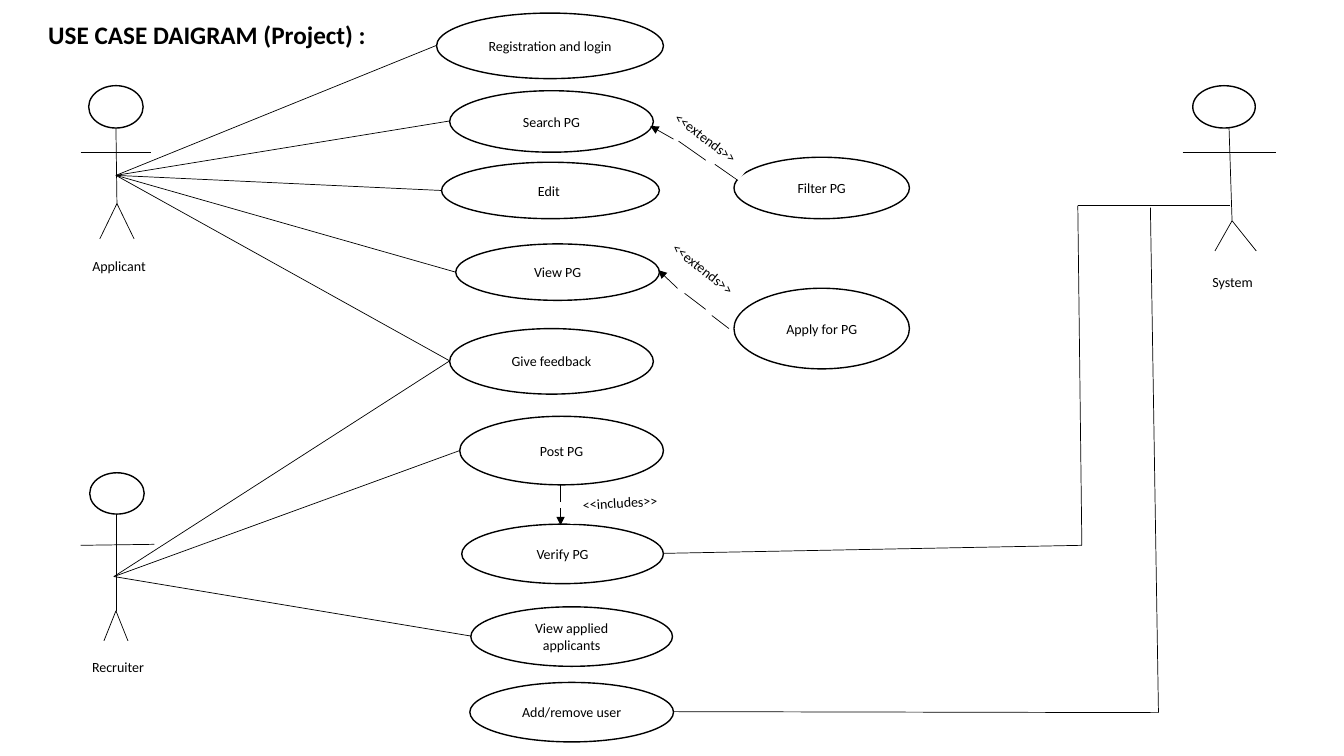
from lxml.etree import SubElement
from pptx import Presentation
from pptx.dml.color import RGBColor
from pptx.enum.shapes import MSO_CONNECTOR, MSO_SHAPE
from pptx.enum.text import MSO_ANCHOR, PP_ALIGN
from pptx.oxml.ns import qn
from pptx.util import Emu, Pt

PX = 9144
COLORS = {"ink": "000000", "paper": "FFFFFF"}
BODY_FONT = {"name": "Calibri", "size": Pt(10), "bold": False}
TITLE_FONT = {"name": "Calibri", "size": Pt(18), "bold": True}

USE_CASES = {
    "Registration and login": (433, 13, 225, 65),
    "Search PG": (446, 90, 202, 61),
    "Edit ": (438, 161, 216, 56),
    "View PG": (452, 242, 202, 56),
    "Give feedback": (446, 326, 202, 65),
    "Post PG": (456, 413, 202, 68),
    "Verify PG": (458, 520, 200, 59),
    "View applied applicants": (467, 602, 200, 59),
    "Add/remove user": (466, 677, 202, 59),
    "Filter PG": (728, 156, 174, 61),
    "Apply for PG": (728, 286, 174, 80),
}
ACTORS = [
    {"head": (88, 85, 54, 42), "neck": 115, "hip": (116, 202),
     "arms": (80, 151, 150, 151), "feet": (99, 133, 237)},
    {"head": (89, 469, 54, 41), "neck": 115, "hip": (115, 606),
     "arms": (80, 541, 153, 540), "feet": (103, 127, 636)},
    {"head": (1183, 85, 62, 42), "neck": 1219, "hip": (1222, 219),
     "arms": (1173, 151, 1266, 151), "feet": (1205, 1246, 249)},
]
ASSOCIATIONS = {
    (115, 174): ["Registration and login", "Search PG", "Edit ", "View PG", "Give feedback"],
    (113, 572): ["Give feedback", "Post PG", "View applied applicants"],
}
SYSTEM_ROUTES = {
    "Verify PG": [(1073, 541), (1069, 204), (1220, 204)],
    "Add/remove user": [(1149, 707), (1141, 206)],
}
DEPENDENCIES = [
    [(732, 179, 709, 163), (700, 159, 673, 140), (668, 138, 645, 125)],
    [(723, 326, 706, 313), (700, 307, 679, 291), (672, 286, 653, 268)],
    [(556, 480, 556, 498), (556, 504, 556, 521)],
]
LABELS = [
    ("Applicant", (69, 241, 98, 46), 0),
    ("Recruiter", (60, 637, 114, 49), 0),
    ("System", (1189, 267, 67, 25), 0),
    ("<<extends>>", (650, 249, 95, 35), 38.4),
    ("<<extends>>", (649, 123, 102, 27), 37.1),
    ("<<includes>>", (565, 481, 100, 35), 356.4),
]


def scaled(lengths):
    return [Emu(length * PX) for length in lengths]


def color(name):
    return RGBColor.from_string(COLORS[name])


def write(shape, text, font, align):
    para = shape.text_frame.paragraphs[0]
    para.alignment = align
    span = para.add_run()
    span.text = text
    for key, value in font.items():
        setattr(span.font, key, value)
    span.font.color.rgb = color("ink")


def draw_shape(page, kind, box, text="", outline="ink", angle=0):
    shape = page.shapes.add_shape(kind, *scaled(box))
    shape.shadow.inherit = False
    shape.rotation = angle
    shape.fill.solid()
    shape.fill.fore_color.rgb = color("paper")
    shape.line.color.rgb = color(outline)
    shape.line.width = Pt(1)
    if text:
        frame = shape.text_frame
        frame.word_wrap = True
        frame.vertical_anchor = MSO_ANCHOR.MIDDLE
        write(shape, text, BODY_FONT, PP_ALIGN.CENTER)


def draw_line(page, ends, arrow=False):
    line = page.shapes.add_connector(MSO_CONNECTOR.STRAIGHT, *scaled(ends))
    line.line.color.rgb = color("ink")
    line.line.width = Pt(0.5)
    if arrow:
        SubElement(line.line._get_or_add_ln(), qn("a:tailEnd"), type="triangle")
    SubElement(line._element.spPr, qn("a:effectLst"))


def draw_actor(page, head, neck, hip, arms, feet):
    draw_shape(page, MSO_SHAPE.FLOWCHART_CONNECTOR, head)
    draw_line(page, (neck, head[1] + head[3], *hip))
    draw_line(page, arms)
    left_foot, right_foot, ground = feet
    for foot in (left_foot, right_foot):
        draw_line(page, (*hip, foot, ground))


def draw_associations(page, hub, names):
    for name in names:
        left, top, width, height = USE_CASES[name]
        draw_line(page, (*hub, left, top + height // 2))


def draw_route(page, box, corners):
    left, top, width, height = box
    start = (left + width, top + height // 2)
    for corner in corners:
        draw_line(page, (*start, *corner))
        start = corner


def draw_dependency(page, dashes):
    for dash in dashes:
        draw_line(page, dash, arrow=dash == dashes[-1])


def draw_title(page, box):
    title = page.shapes.add_textbox(*scaled(box))
    write(title, "USE CASE DAIGRAM (Project) :", TITLE_FONT, PP_ALIGN.LEFT)


def main():
    deck = Presentation()
    deck.slide_width, deck.slide_height = scaled((1333, 750))
    page = deck.slides.add_slide(deck.slide_layouts[6])
    for actor in ACTORS:
        draw_actor(page, **actor)
    for name, box in USE_CASES.items():
        draw_shape(page, MSO_SHAPE.OVAL, box, name)
    for hub, names in ASSOCIATIONS.items():
        draw_associations(page, hub, names)
    for name, corners in SYSTEM_ROUTES.items():
        draw_route(page, USE_CASES[name], corners)
    for dashes in DEPENDENCIES:
        draw_dependency(page, dashes)
    for text, box, angle in LABELS:
        draw_shape(page, MSO_SHAPE.RECTANGLE, box, text, "paper", angle)
    draw_title(page, (38, 14, 341, 40))
    deck.save("out.pptx")


if __name__ == "__main__":
    main()
